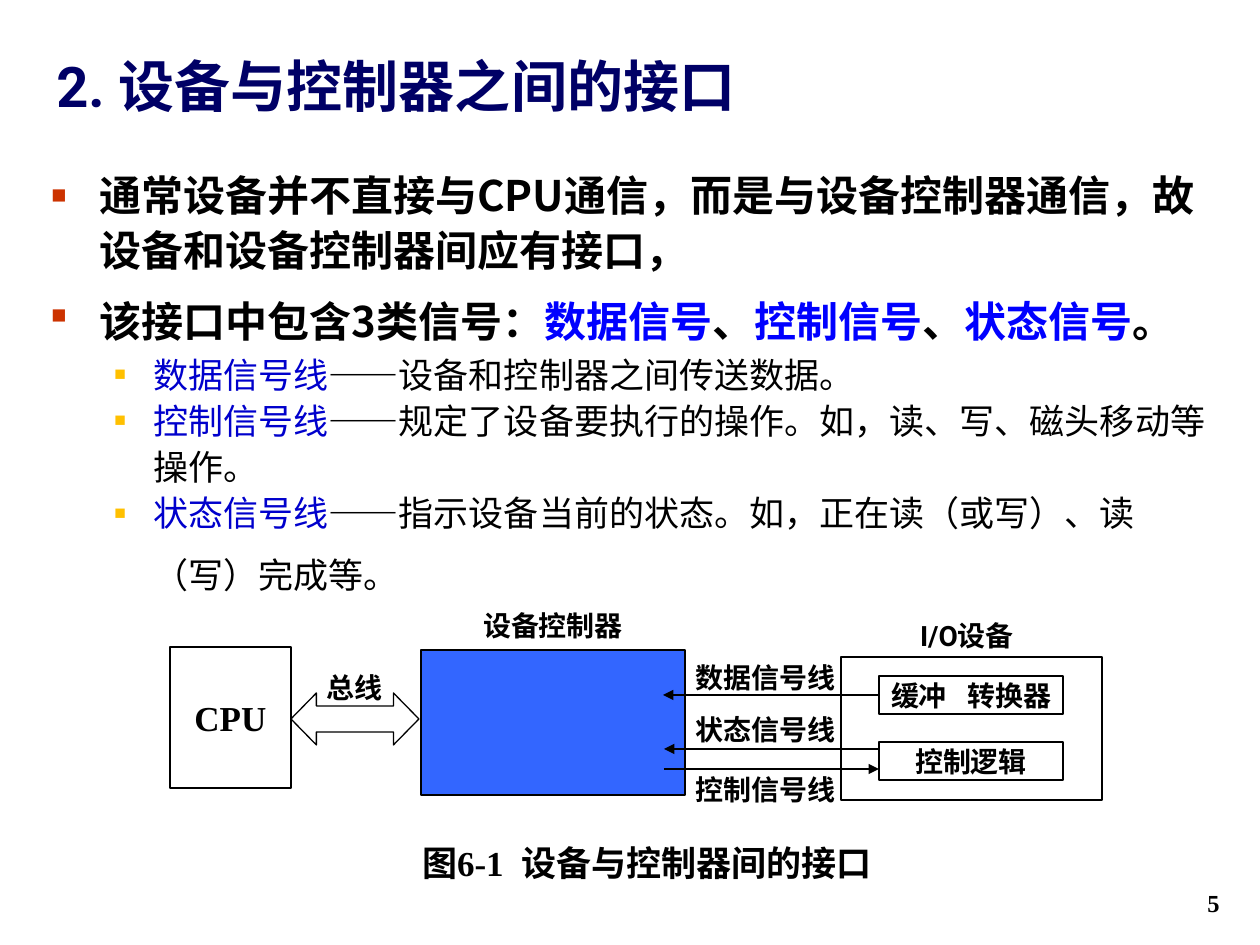
from lxml.etree import SubElement
from pptx import Presentation
from pptx.dml.color import RGBColor
from pptx.enum.shapes import MSO_CONNECTOR as Conn, MSO_SHAPE as Kind
from pptx.enum.text import MSO_ANCHOR as Anchor, PP_ALIGN as Align
from pptx.oxml.ns import qn
from pptx.util import Pt

PX = 914400 / 126
NAVY = RGBColor(0x00, 0x00, 0x66)
BLACK = RGBColor(0x00, 0x00, 0x00)
BRIGHT = RGBColor(0x00, 0x00, 0xFF)
DEEP = RGBColor(0x00, 0x00, 0xCC)
FILL = RGBColor(0x33, 0x66, 0xFF)
RED, GOLD = "CC3300", "FFC000"
NOTO, ROBOTO, ARIAL, TIMES = "Noto Sans CJK SC", "Roboto", "Arial", "Times New Roman"

# Runs: text, colour, font, size, bold
TITLE = [("2. ", NAVY, ROBOTO, 32, True),
         ("设备与控制器之间的接口", NAVY, NOTO, 32, True)]


def point(*parts):
    return [(text, color, NOTO, 24, True) for text, color in parts]


def signal(name, note):
    return [(name, DEEP, NOTO, 20, False), ("——", BLACK, ARIAL, 20, False),
            (note, BLACK, NOTO, 20, False)]


# Paragraphs: level, runs
BODY = [
    (0, point(("通常设备并不直接与CPU通信，而是与设备控制器通信，故设备和设备控制器间应有接口，", BLACK))),
    (0, point(("该接口中包含3类信号：", BLACK), ("数据信号", BRIGHT), ("、", BLACK),
              ("控制信号", BRIGHT), ("、", BLACK), ("状态信号", BRIGHT), ("。", BLACK))
     + [(" ", BLACK, ROBOTO, 32, True)]),
    (1, signal("数据信号线", "设备和控制器之间传送数据。")),
    (1, signal("控制信号线", "规定了设备要执行的操作。如，读、写、磁头移动等操作。")),
    (1, signal("状态信号线", "指示设备当前的状态。如，正在读（或写）、读（写）完成等。")
     + [(" ", BLACK, ROBOTO, 28, True)]),
]
# Levels: left margin, hanging indent, bullet colour, bullet size in percent
LEVELS = [(48, 48, RED, 60), (102, 39, GOLD, 55)]

# Shapes: name, kind, box, fill, text, font, size
SHAPES = [
    ("buffer", Kind.RECTANGLE, (879, 676, 184, 38), None, "缓冲 转换器", ROBOTO, 16),
    ("logic", Kind.RECTANGLE, (879, 742, 184, 38), None, "控制逻辑", ROBOTO, 16),
    ("device", Kind.RECTANGLE, (841, 657, 261, 143), None, "", ROBOTO, 16),
    ("controller", Kind.RECTANGLE, (421, 650, 264, 145), FILL, "", ROBOTO, 16),
    ("cpu", Kind.RECTANGLE, (170, 647, 121, 141), None, "CPU", TIMES, 20),
    ("bus", Kind.LEFT_RIGHT_ARROW, (291, 693, 128, 52), None, "", ROBOTO, 16),
]
# Arrows: from, to, name of the shape joined at its left side
ARROWS = [((879, 695), (663, 695), "buffer"),
          ((879, 749), (664, 749), None),
          ((664, 769), (879, 769), None)]
# Labels: text, box, font, size
LABELS = [
    ("数据信号线", (686, 659, 159, 37), ROBOTO, 16),
    ("状态信号线", (686, 711, 159, 37), ROBOTO, 16),
    ("控制信号线", (686, 771, 159, 37), ROBOTO, 16),
    ("设备控制器", (457, 607, 192, 37), ROBOTO, 16),
    ("I/O设备", (861, 617, 212, 37), ROBOTO, 16),
    ("总线", (315, 669, 79, 37), ROBOTO, 16),
    ("图6-1 设备与控制器间的接口", (392, 840, 510, 45), TIMES, 20),
]
# Extra width of a space in a label, in points, by text size
GAPS = {16: 8, 20: 5}


def emu(*vals):
    return [round(v * PX) for v in vals]


def write(para, runs):
    for text, color, face, size, bold in runs:
        run = para.add_run()
        run.text = text
        font = run.font
        font.name, font.size, font.bold = face, Pt(size), bold
        font.color.rgb = color
        SubElement(run._r.get_or_add_rPr(), qn("a:ea")).set("typeface", NOTO)


def set_frame(shape, anchor, pad=None):
    frame = shape.text_frame
    frame.word_wrap = True
    frame.vertical_anchor = anchor
    if pad:
        side, end = emu(*pad)
        frame.margin_left = frame.margin_right = side
        frame.margin_top = frame.margin_bottom = end
    return frame


def add_box(box, anchor, pad=None):
    return set_frame(slide.shapes.add_textbox(*emu(*box)), anchor, pad)


def center(frame, text, face, size):
    """Write a centred label, widening the space between its words."""
    para = frame.paragraphs[0]
    para.alignment = Align.CENTER
    parts = [part for part in text.partition(" ") if part]
    write(para, [(part, BLACK, face, size, True) for part in parts])
    for run in para.runs:
        if run.text == " ":
            run._r.get_or_add_rPr().set("spc", str(GAPS[size] * 100))


def set_bullet(para, level):
    left, hang, color, size = LEVELS[level]
    props = para._p.get_or_add_pPr()
    props.set("marL", str(emu(left)[0]))
    props.set("indent", str(emu(-hang)[0]))
    tint = SubElement(props, qn("a:buClr"))
    SubElement(tint, qn("a:srgbClr")).set("val", color)
    SubElement(props, qn("a:buSzPct")).set("val", str(size * 1000))
    SubElement(props, qn("a:buFont")).set("typeface", ARIAL)
    SubElement(props, qn("a:buChar")).set("char", "■")


def set_line(line):
    line.color.rgb = BLACK
    line.width = Pt(0.75)


deck = Presentation()
deck.slide_width, deck.slide_height = emu(1260, 945)
slide = deck.slides.add_slide(deck.slide_layouts[6])

page = add_box((970, 861, 262, 63), Anchor.BOTTOM).paragraphs[0]
page.alignment = Align.RIGHT
write(page, [("5", BLACK, TIMES, 14, True)])
write(add_box((44, 29, 1188, 96), Anchor.BOTTOM).paragraphs[0], TITLE)

body = add_box((39, 158, 1194, 556), Anchor.TOP)
for i, (level, runs) in enumerate(BODY):
    para = body.add_paragraph() if i else body.paragraphs[0]
    para.level = level
    para.line_spacing = 1.1
    set_bullet(para, level)
    write(para, runs)

made = {}
for name, kind, box, fill, text, face, size in SHAPES:
    shape = made[name] = slide.shapes.add_shape(kind, *emu(*box))
    shape.shadow.inherit = False
    if fill:
        shape.fill.solid()
        shape.fill.fore_color.rgb = fill
    else:
        shape.fill.background()
    set_line(shape.line)
    if text:
        center(set_frame(shape, Anchor.MIDDLE, (2, 1)), text, face, size)
made["bus"].adjustments[0] = 0.5
made["bus"].adjustments[1] = 0.49

for start, end, owner in ARROWS:
    arrow = slide.shapes.add_connector(Conn.STRAIGHT, *emu(*start, *end))
    set_line(arrow.line)
    SubElement(arrow.line._get_or_add_ln(), qn("a:tailEnd")).set("type", "triangle")
    SubElement(arrow._element.spPr, qn("a:effectLst"))
    if owner:
        arrow.begin_connect(made[owner], 1)

for text, box, face, size in LABELS:
    center(add_box(box, Anchor.MIDDLE, (2, 1)), text, face, size)

deck.save("out.pptx")
